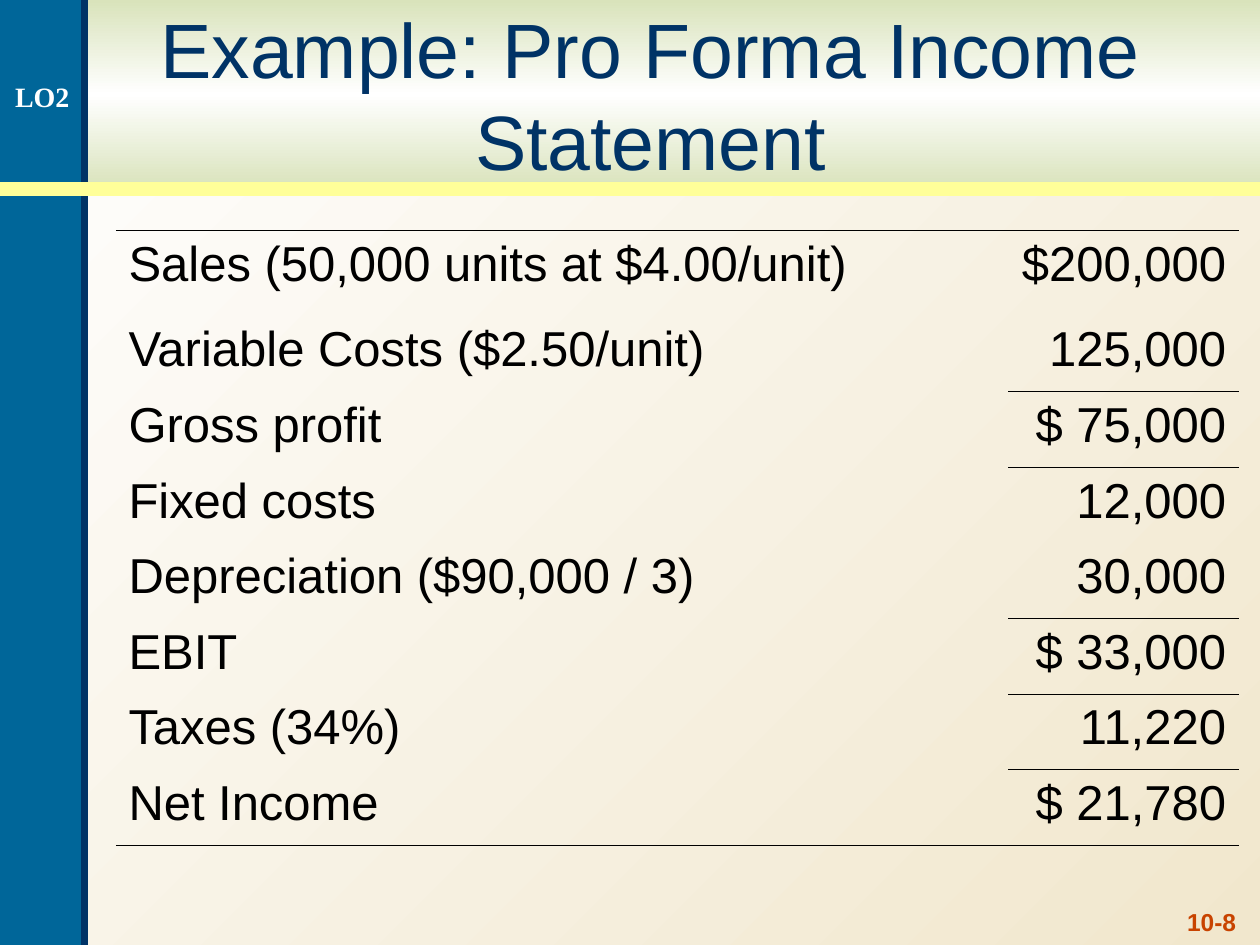
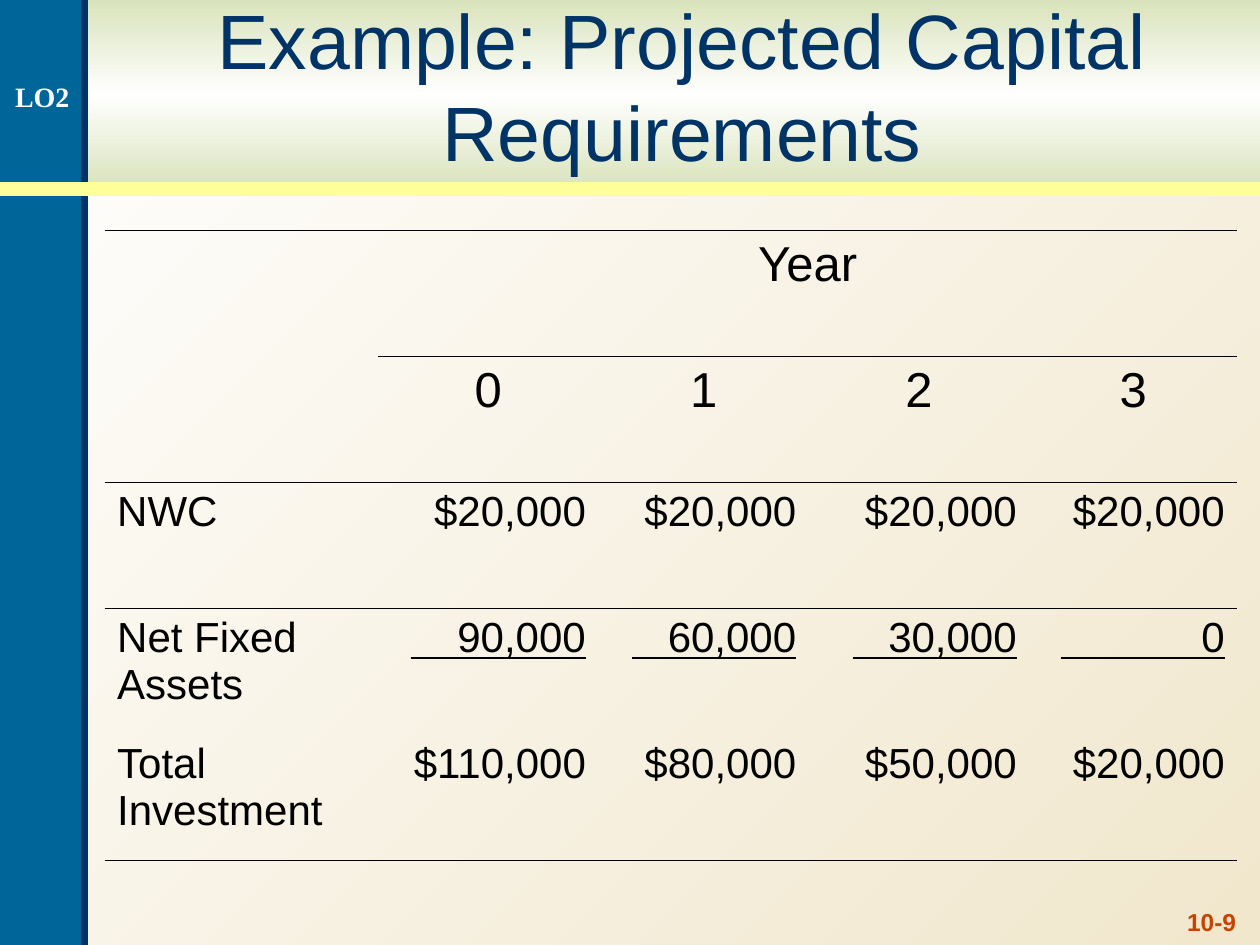
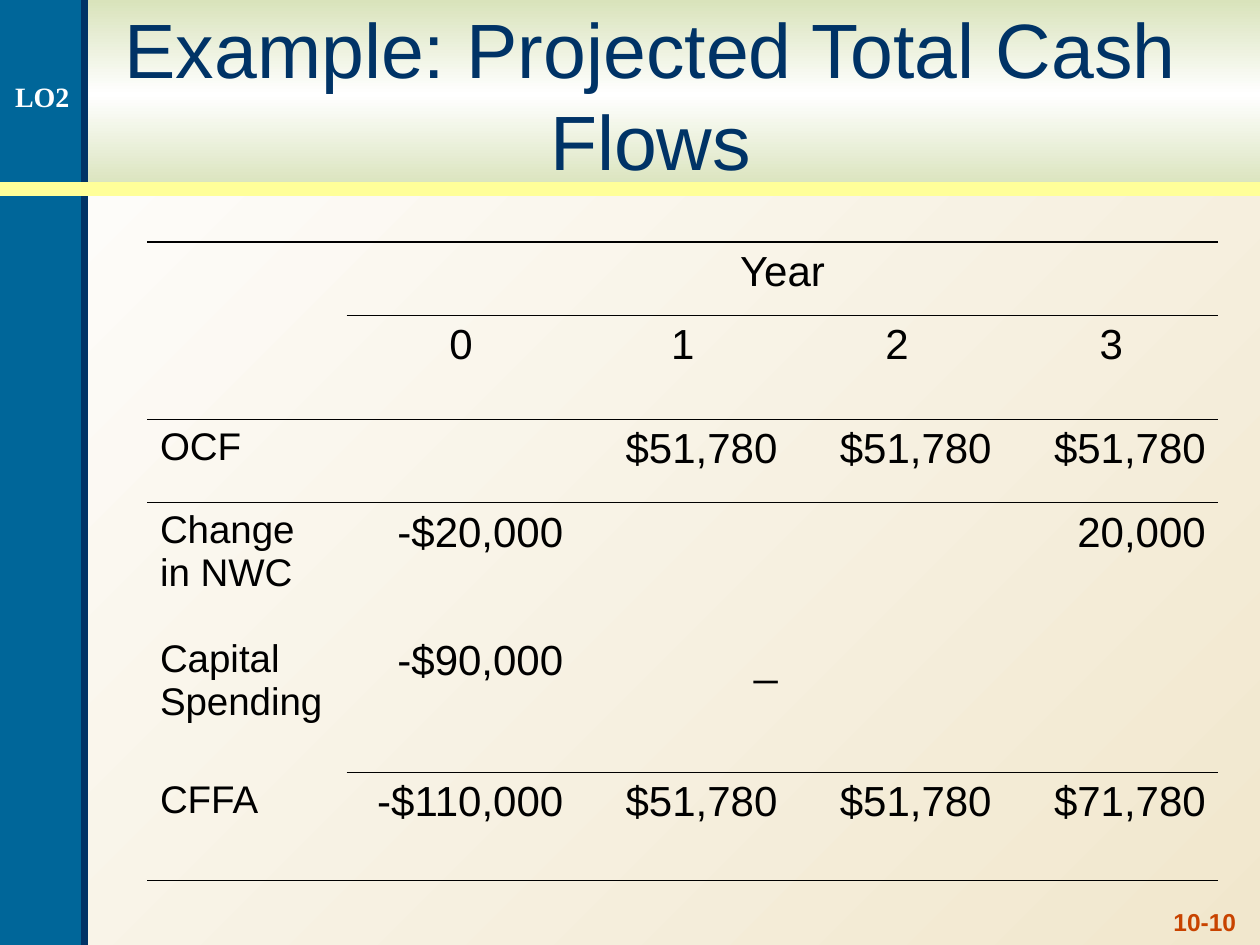
"""Build three slides of pro forma statements and projected cash flows."""
from lxml.etree import SubElement as Sub
from pptx import Presentation
from pptx.dml.color import RGBColor
from pptx.enum.shapes import MSO_CONNECTOR as Link, MSO_SHAPE as Form
from pptx.enum.text import MSO_ANCHOR as Anchor, PP_ALIGN as Align
from pptx.oxml.ns import qn
from pptx.util import Inches, Pt

NAVY, BLUE, YELLOW, RUST = "003366", "006699", "FFFF99", "C84300"
WHITE, BLACK, GREEN, SAND = "FFFFFF", "000000", "D9E3BB", "F1E7CD"
THICK, THIN = 1.08, 0.45
PLAIN = "{2D5ABB26-0587-4C30-8999-92F81FD0307C}"
YEARS = [["", "Year", "", "", ""], ["", "0", "1", "2", "3"]]

SLIDES = [
    dict(
        title="Example: Pro Forma Income Statement", box=(0.58, 0.08, 9.17, 1.33),
        page="10-8", at=(0.92, 1.83), cols=[7.08, 1.83], rows=[0.68] + [0.6] * 7,
        head=0, sizes=(28, 28, 28),
        rules={0: (0, THICK), 2: (1, THIN), 5: (1, THIN), 7: (1, THIN), 8: (0, THICK)},
        cells=[
            ["Sales (50,000 units at $4.00/unit)", "$200,000"],
            ["Variable Costs ($2.50/unit)", "125,000"],
            ["Gross profit", "$ 75,000"],
            ["Fixed costs", "12,000"],
            ["Depreciation ($90,000 / 3)", "30,000"],
            ["EBIT", "$ 33,000"],
            ["Taxes (34%)", "11,220"],
            ["Net Income", "$ 21,780"],
        ],
    ),
    dict(
        title="Example: Projected Capital Requirements", box=(0.75, 0.17, 9.33, 1),
        page="10-9", at=(0.83, 1.83), cols=[2.17, 1.75, 1.67, 1.75, 1.65], rows=[1] * 5,
        head=2, sizes=(28, 24, 24), sums=(5.22, [1.39, 1.3, 1.3, 1.3]),
        rules={0: (0, THICK), 1: (1, THIN), 2: (0, THIN), 5: (0, THICK)},
        cells=YEARS + [
            ["NWC", "$20,000", "$20,000", "$20,000", "$20,000"],
            ["Net Fixed Assets", "90,000", "60,000", "30,000", "0"],
            ["Total Investment", "$110,000", "$80,000", "$50,000", "$20,000"],
        ],
    ),
    dict(
        title="Example: Projected Total Cash Flows", box=(0.58, 0.08, 9.17, 1.33),
        page="10-10", at=(1.17, 1.92), cols=[1.58, 1.82, 1.7, 1.7, 1.7],
        rows=[0.58, 0.83, 0.66, 1.02, 1.12, 0.86], head=2, sizes=(24, 22, 24),
        rules={0: (0, THICK), 1: (1, THIN), 2: (0, THIN), 5: (1, THIN), 6: (0, THICK)},
        cells=YEARS + [
            ["OCF", "", "$51,780", "$51,780", "$51,780"],
            ["Change in NWC", "-$20,000", "", "", "20,000"],
            ["Capital Spending", "-$90,000", "_", "", ""],
            ["CFFA", "-$110,000", "$51,780", "$51,780", "$71,780"],
        ],
    ),
]


def color(code):
    return RGBColor.from_string(code)


def write(frame, text, size, hue=BLACK, font="Arial", bold=False, align=Align.LEFT, before=0):
    para = frame.paragraphs[0]
    para.alignment, para.space_before = align, Pt(before)
    run = para.add_run()
    run.text = text
    run.font.size, run.font.name, run.font.bold = Pt(size), font, bold
    run.font.color.rgb = color(hue)


def label(slide, box, text, size, anchor=Anchor.TOP, **form):
    frame = slide.shapes.add_textbox(*map(Inches, box)).text_frame
    frame.word_wrap, frame.vertical_anchor = True, anchor
    write(frame, text, size, **form)


def blend(fill, root, angle, hues):
    fill.gradient()
    fill.gradient_angle = 360 - angle
    stops = root.xpath(".//a:gsLst")[0]
    for stop in list(stops):
        stops.remove(stop)
    for i, hue in enumerate(hues):
        stop = Sub(stops, qn("a:gs"), pos=str(i * 100000 // (len(hues) - 1)))
        Sub(stop, qn("a:srgbClr"), val=hue)


def block(slide, box):
    shape = slide.shapes.add_shape(Form.RECTANGLE, *map(Inches, box))
    shape.shadow.inherit = False
    shape.line.fill.background()
    return shape


def rule(slide, ends, hue, width):
    line = slide.shapes.add_connector(Link.STRAIGHT, *map(Inches, ends))
    line.line.color.rgb, line.line.width = color(hue), Pt(width)
    Sub(line._element.spPr, qn("a:effectLst"))


def base(deck, title, box, page):
    slide = deck.slides.add_slide(deck.slide_layouts[6])
    blend(slide.background.fill, slide._element, 45, [WHITE, SAND])
    band = block(slide, (0, 0, 10, 1.5))
    blend(band.fill, band._element, 90, [GREEN, WHITE, GREEN])
    side = block(slide, (0, 0, 0.67, 7.5))
    side.fill.solid()
    side.fill.fore_color.rgb = color(BLUE)
    rule(slide, (0.67, 7.5, 0.67, 0), NAVY, 4)
    rule(slide, (0, 1.5, 10, 1.5), YELLOW, 8)
    label(slide, (7.58, 7.15, 2.33, 0.52), page, 14, hue=RUST, bold=True, align=Align.RIGHT)
    label(slide, box, title, 44, Anchor.MIDDLE, hue=NAVY, align=Align.CENTER)
    label(slide, (0, 0.58, 0.67, 0.37), "LO2", 16, hue=WHITE, font="Times New Roman",
          bold=True, align=Align.CENTER)
    return slide


def edge(cell, tag, width):
    line = Sub(cell._tc.get_or_add_tcPr(), qn(tag), w=str(Pt(width)))
    Sub(Sub(line, qn("a:solidFill")), qn("a:srgbClr"), val=BLACK)


def grid(slide, at, cols, rows, cells, rules, head, sizes):
    area = map(Inches, (*at, sum(cols), sum(rows)))
    table = slide.shapes.add_table(len(rows), len(cols), *area).table
    table.first_row = table.horz_banding = False
    table._tbl.tblPr.find(qn("a:tableStyleId")).text = PLAIN
    for col, width in zip(table.columns, cols):
        col.width = Inches(width)
    for r, texts in enumerate(cells):
        table.rows[r].height = Inches(rows[r])
        for c, text in enumerate(texts):
            cell = table.cell(r, c)
            for tag, at_row in (("a:lnT", r), ("a:lnB", r + 1)):
                start, width = rules.get(at_row, (len(cols), 0))
                if c >= start:
                    edge(cell, tag, width)
            cell.fill.background()
            if text:
                size = sizes[0] if r < head else sizes[1] if c == 0 else sizes[2]
                align = Align.CENTER if r < head else Align.RIGHT if c else Align.LEFT
                write(cell.text_frame, text, size, align=align, before=size / 4)
    if head:
        table.cell(0, 1).merge(table.cell(0, len(cols) - 1))


def main():
    deck = Presentation()
    deck.slide_width, deck.slide_height = Inches(10), Inches(7.5)
    for data in SLIDES:
        slide = base(deck, data["title"], data["box"], data["page"])
        keys = ("at", "cols", "rows", "cells", "rules", "head", "sizes")
        grid(slide, **{key: data[key] for key in keys})
        y, spans = data.get("sums", (0, []))
        for i, span in enumerate(spans):
            right = data["at"][0] + sum(data["cols"][:i + 2]) - 0.1
            rule(slide, (right - span, y, right, y), BLACK, THICK)
    deck.save("out.pptx")


if __name__ == "__main__":
    main()
